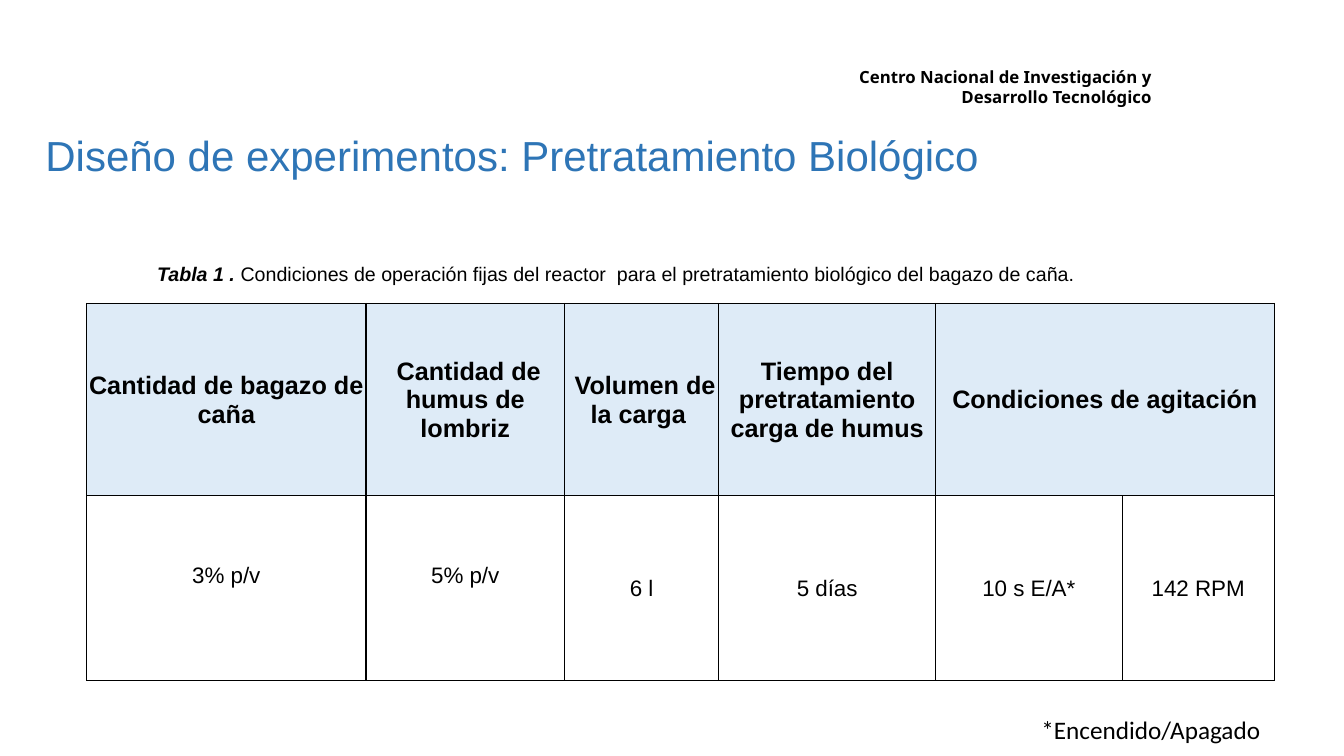
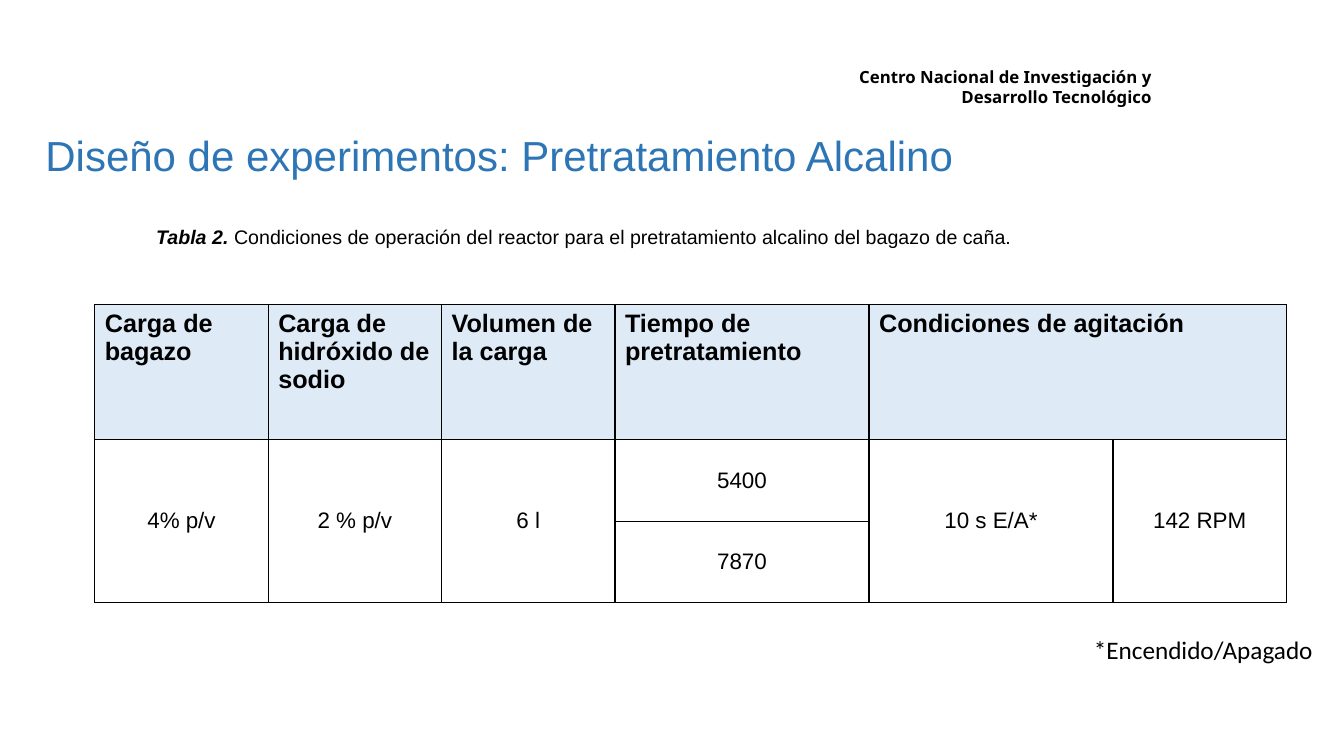
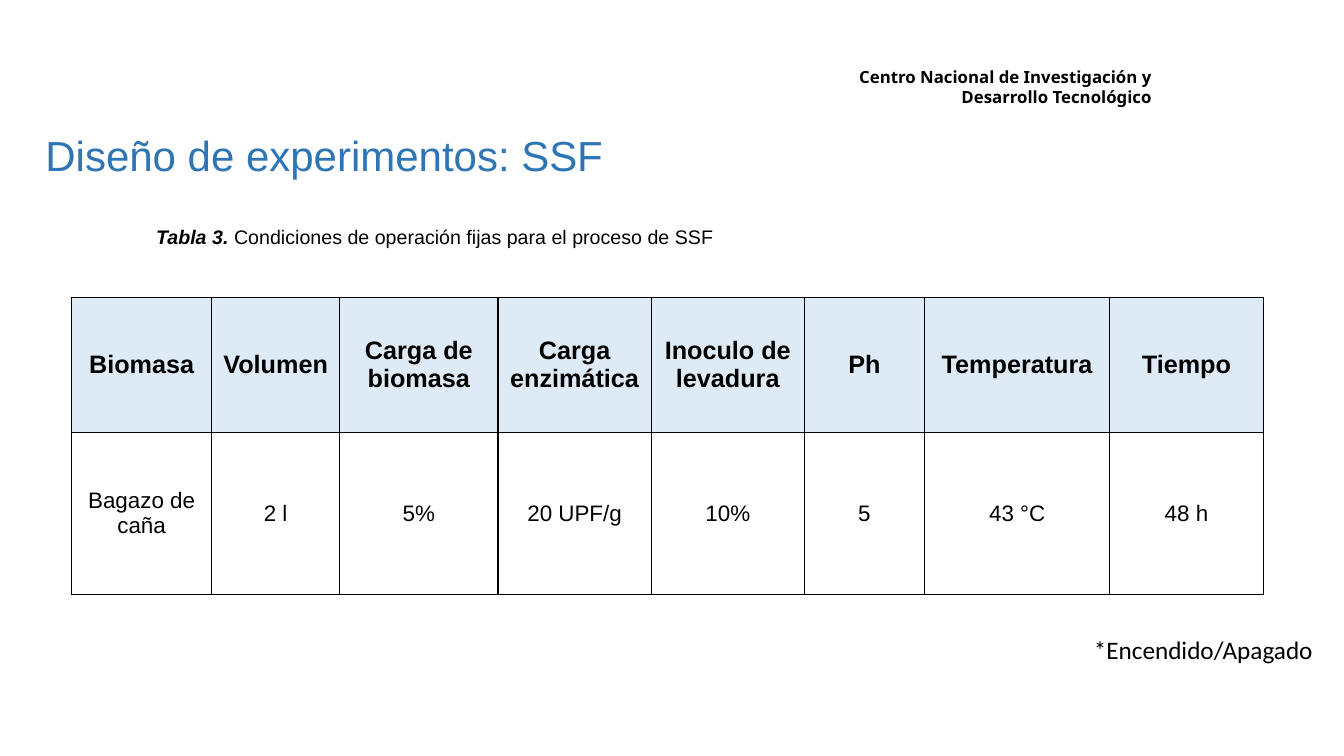
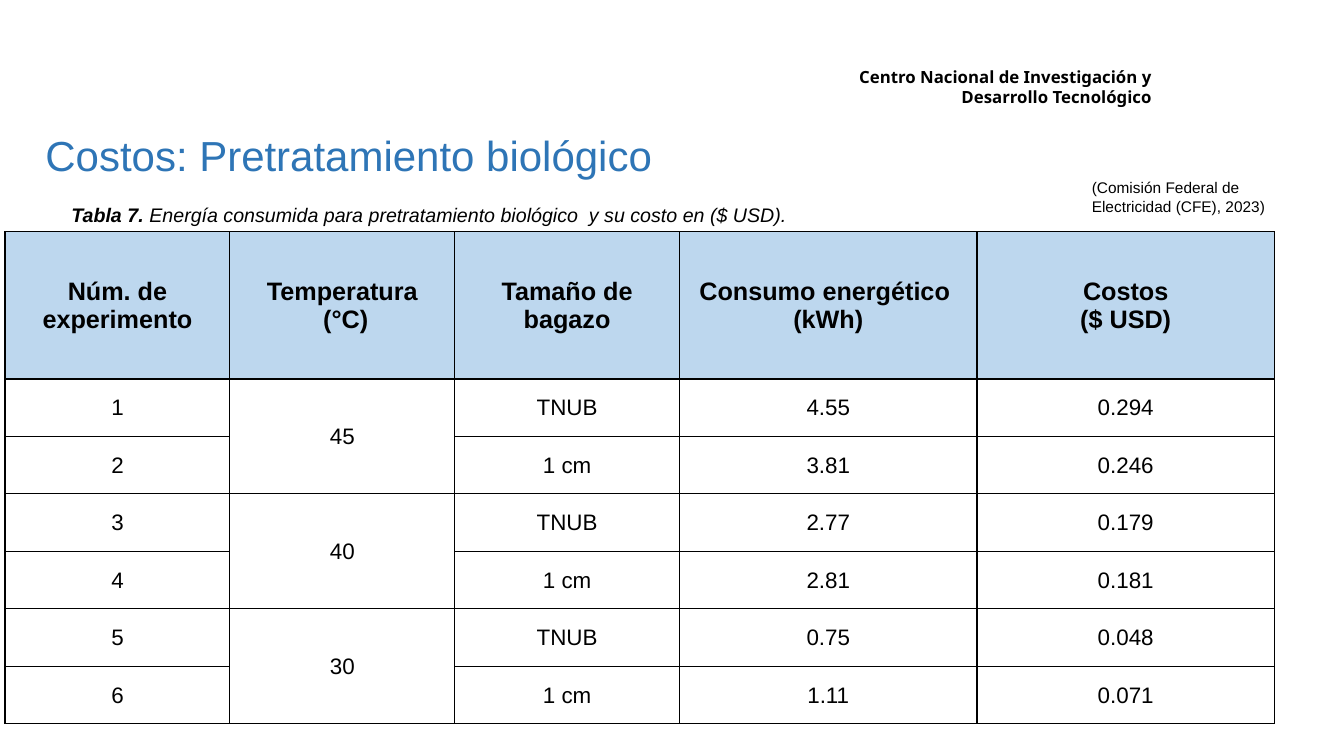
from lxml import etree
from pptx import Presentation
from pptx.dml.color import RGBColor
from pptx.enum.text import MSO_ANCHOR, MSO_AUTO_SIZE, PP_ALIGN
from pptx.oxml.ns import qn
from pptx.util import Inches, Pt

LEFT, CENTER, RIGHT, JUSTIFY = PP_ALIGN.LEFT, PP_ALIGN.CENTER, PP_ALIGN.RIGHT, PP_ALIGN.JUSTIFY
TOP, MIDDLE = MSO_ANCHOR.TOP, MSO_ANCHOR.MIDDLE
FIT_SHAPE = MSO_AUTO_SIZE.SHAPE_TO_FIT_TEXT

BLACK = RGBColor(0x00, 0x00, 0x00)
WHITE = RGBColor(0xFF, 0xFF, 0xFF)
TITLE_BLUE = RGBColor(0x2E, 0x75, 0xB6)
PALE_BLUE = RGBColor(0xDE, 0xEB, 0xF7)
LIGHT_BLUE = RGBColor(0xBD, 0xD7, 0xEE)

INSTITUTE = "Centro Nacional de Investigación y Desarrollo Tecnológico"
FOOTNOTE = "*Encendido/Apagado"
NORMAL_MARGINS = (0.1, 0.1, 0.05, 0.05)  # left, right, top, bottom
TIGHT_MARGINS = (0.01, 0.01, 0.01, 0)
JOIN_LEFT, JOIN_UP = "<", "^"  # the cell belongs to its left or upper neighbour

SLIDES = [
    {
        "title": "Diseño de experimentos: Pretratamiento Biológico",
        "caption": ("Tabla 1 .", " Condiciones de operación fijas del reactor  para el "
                    "pretratamiento biológico del bagazo de caña."),
        "caption_box": (1.46, 2.55, 10.42, 0.34),
        "footnote_at": (10.23, 7.04),
        "table_at": (0.86, 3.01),
        "columns": [2.77, 1.97, 1.53, 2.15, 1.85, 1.51],
        "rows": [1.91, 1.83],
        "margins": TIGHT_MARGINS,
        "raised": ["3% p/v", "5% p/v"],
        "cells": [
            ["Cantidad de bagazo de caña", " Cantidad de humus de lombriz",
             " Volumen de la carga ", "Tiempo del pretratamiento carga de humus",
             "Condiciones de agitación", JOIN_LEFT],
            ["3% p/v", "5% p/v", "6 l", "5 días", "10 s E/A*", "142 RPM"],
        ],
    },
    {
        "title": "Diseño de experimentos: Pretratamiento Alcalino",
        "caption": ("Tabla 2.", " Condiciones de operación del reactor para el "
                    "pretratamiento alcalino del bagazo de caña."),
        "caption_box": (1.45, 2.18, 9.38, 0.34),
        "footnote_at": (10.75, 6.24),
        "table_at": (0.94, 3.02),
        "columns": [1.72, 1.72, 1.72, 2.52, 2.42, 1.72],
        "rows": [1.34, 0.81, 0.81],
        "header_align": LEFT,
        "header_anchor": TOP,
        "cells": [
            ["Carga de bagazo", "Carga de hidróxido de sodio", "Volumen de la carga",
             "Tiempo de pretratamiento", "Condiciones de agitación", JOIN_LEFT],
            ["4% p/v", "2 % p/v", "6 l", "5400", "10 s E/A*", "142 RPM"],
            [JOIN_UP, JOIN_UP, JOIN_UP, "7870", JOIN_UP, JOIN_UP],
        ],
    },
    {
        "title": "Diseño de experimentos: SSF",
        "caption": ("Tabla 3.", " Condiciones de operación fijas para el proceso de SSF"),
        "caption_box": (1.45, 2.18, 9.38, 0.34),
        "footnote_at": (10.75, 6.24),
        "table_at": (0.71, 2.95),
        "columns": [1.39, 1.27, 1.57, 1.52, 1.52, 1.19, 1.84, 1.52],
        "rows": [1.34, 1.61],
        "cells": [
            ["Biomasa", "Volumen", "Carga de biomasa", "Carga enzimática",
             "Inoculo de levadura", "Ph", "Temperatura", "Tiempo"],
            ["Bagazo de caña", "2 l", "5%", "20 UPF/g", "10%", "5", "43 °C", "48 h"],
        ],
    },
    {
        "title": "Costos: Pretratamiento biológico",
        "caption": ("Tabla 7. ", "Energía consumida para pretratamiento biológico  "
                    "y su costo en ($ USD)."),
        "caption_box": (0.61, 1.96, 7.7, 0.34),
        "caption_italic": True,
        "citation": "(Comisión Federal de Electricidad (CFE), 2023)",
        "table_at": (0.05, 2.3),
        "columns": [2.23] * 3 + [2.95] * 2,
        "rows": [1.46] + [0.57] * 6,
        "margins": TIGHT_MARGINS,
        "header_fill": LIGHT_BLUE,
        "body_fill": WHITE,
        "cells": [
            ["Núm. de experimento", "Temperatura\n (°C)", "Tamaño de bagazo",
             "Consumo energético \n(kWh)", "Costos\n($ USD)"],
            ["1", "45", "TNUB", "4.55", "0.294"],
            ["2", JOIN_UP, "1 cm", "3.81", "0.246"],
            ["3", "40", "TNUB", "2.77", "0.179"],
            ["4", JOIN_UP, "1 cm", "2.81", "0.181"],
            ["5", "30", "TNUB", "0.75", "0.048"],
            ["6", JOIN_UP, "1 cm", "1.11", "0.071"],
        ],
    },
]


def add_text(slide, box, pieces, size, font="Arial", align=LEFT):
    """Add a one-paragraph box; each piece is (text, bold, italic)."""
    frame = slide.shapes.add_textbox(*map(Inches, box)).text_frame
    frame.word_wrap = True
    frame.auto_size = FIT_SHAPE
    paragraph = frame.paragraphs[0]
    paragraph.alignment = align
    for text, bold, italic in pieces:
        run = paragraph.add_run()
        run.text = text
        run.font.name, run.font.size = font, Pt(size)
        run.font.bold, run.font.italic = bold, italic
        run.font.color.rgb = BLACK


def add_borders(cell):
    properties = cell._tc.get_or_add_tcPr()
    for side in ("a:lnL", "a:lnR", "a:lnT", "a:lnB"):
        line = etree.SubElement(properties, qn(side), w=str(Pt(1)))
        fill = etree.SubElement(line, qn("a:solidFill"))
        etree.SubElement(fill, qn("a:srgbClr"), val=str(BLACK))


prs = Presentation()
prs.slide_width, prs.slide_height = Inches(13.33), Inches(7.5)
title_only = prs.slide_layouts[5]
layout_title = title_only.placeholders[0]
layout_title.left, layout_title.top = Inches(0.35), Inches(1.09)
layout_title.width, layout_title.height = Inches(10.17), Inches(0.96)

for content in SLIDES:
    slide = prs.slides.add_slide(title_only)

    title = slide.shapes.title.text_frame
    title.text = content["title"]
    title.vertical_anchor = MIDDLE
    heading = title.paragraphs[0]
    heading.alignment, heading.line_spacing = JUSTIFY, 0.9
    heading_font = heading.runs[0].font
    heading_font.name, heading_font.size = "Arial", Pt(30)
    heading_font.color.rgb = TITLE_BLUE

    add_text(slide, (7.85, 0.61, 3.67, 0.5), [(INSTITUTE, True, False)], 12, "Noto Sans", RIGHT)
    label, description = content["caption"]
    italic = content.get("caption_italic", False)
    add_text(slide, content["caption_box"],
             [(label, True, True), (description, False, italic)], 14)
    if "footnote_at" in content:
        add_text(slide, (*content["footnote_at"], 2.58, 0.4),
                 [(FOOTNOTE, False, False)], 18, "Calibri")
    if "citation" in content:
        add_text(slide, (10.73, 1.72, 2.05, 0.47), [(content["citation"], False, False)], 11)

    columns, rows = content["columns"], content["rows"]
    table_box = (*content["table_at"], sum(columns), sum(rows))
    table = slide.shapes.add_table(len(rows), len(columns), *map(Inches, table_box)).table
    table.first_row = table.horz_banding = False
    for column, width in zip(table.columns, columns):
        column.width = Inches(width)
    for row, height in zip(table.rows, rows):
        row.height = Inches(height)

    for r, texts in enumerate(content["cells"]):
        is_header = r == 0
        fill = content.get("header_fill", PALE_BLUE) if is_header else content.get("body_fill")
        align = content.get("header_align", CENTER) if is_header else CENTER
        anchor = content.get("header_anchor", MIDDLE) if is_header else MIDDLE
        for c, text in enumerate(texts):
            cell = table.cell(r, c)
            add_borders(cell)
            if fill is None:
                cell.fill.background()
            else:
                cell.fill.solid()
                cell.fill.fore_color.rgb = fill
            if text == JOIN_LEFT:
                table.cell(r, c - 1).merge(cell)
                continue
            if text == JOIN_UP:
                table.cell(r - 1, c).merge(cell)
                continue
            left, right, top, bottom = content.get("margins", NORMAL_MARGINS)
            if text in content.get("raised", []):
                bottom += 0.25
            cell.margin_left, cell.margin_right = Inches(left), Inches(right)
            cell.margin_top, cell.margin_bottom = Inches(top), Inches(bottom)
            cell.vertical_anchor = anchor
            cell.text_frame.text = text
            for paragraph in cell.text_frame.paragraphs:
                paragraph.alignment = align
                font = paragraph.runs[0].font
                font.name, font.size = "Arial", Pt(18 if is_header else 16)
                font.bold = is_header
                font.color.rgb = BLACK

prs.save("out.pptx")
